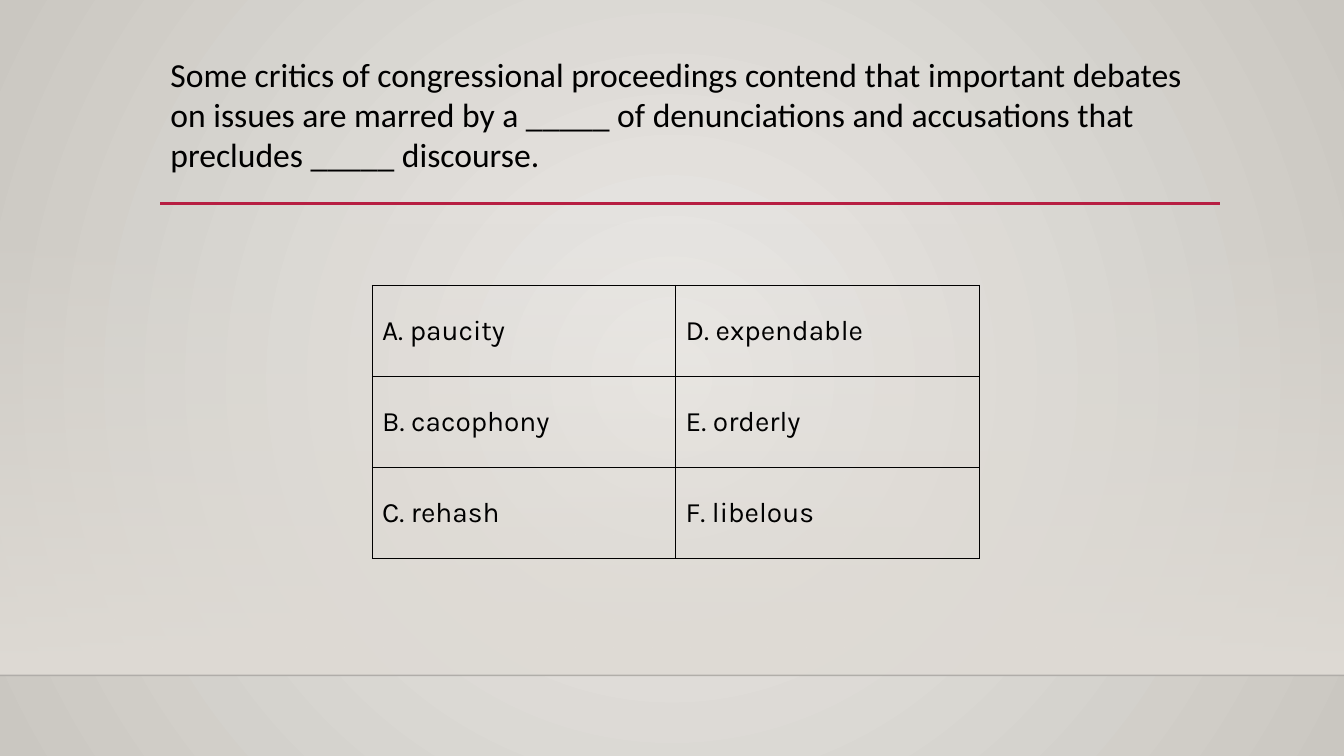
from pptx import Presentation
from pptx.dml.color import RGBColor
from pptx.enum.shapes import MSO_CONNECTOR, MSO_SHAPE
from pptx.enum.text import MSO_ANCHOR, MSO_AUTO_SIZE, PP_ALIGN
from pptx.oxml.ns import qn
from pptx.util import Inches, Pt
from lxml.etree import SubElement

WIDTH, HEIGHT = 13.33, 7.5
FLOOR_TOP = 6.7
BLACK, RED, SAND = "000000", "B71E42", "DFDBD5"
QUESTION = ("Some critics of congressional proceedings contend that important debates "
            "on issues are marred by a _____ of denunciations and accusations that "
            "precludes _____ discourse.")
CHOICES = [("A. paucity", "D. expendable"),
           ("B. cacophony", "E. orderly"),
           ("C. rehash", "F. libelous")]


def rgb(color):
    return RGBColor.from_string(color)


def set_alpha(color_parent, percent):
    SubElement(color_parent.find(qn("a:srgbClr")), qn("a:alpha"), val=str(percent * 1000))


def set_font(p, name, size):
    for r in p.runs:
        r.font.name, r.font.size = name, Pt(size)
        r.font.color.rgb = rgb(BLACK)


def set_stops(fill, *colors):
    fill.gradient()
    for stop, color in zip(fill.gradient_stops, colors):
        stop.color.rgb = rgb(color)


def add_line(slide, x1, x2, y, color, width):
    line = slide.shapes.add_connector(
        MSO_CONNECTOR.STRAIGHT, Inches(x1), Inches(y), Inches(x2), Inches(y))
    line.line.color.rgb = rgb(color)
    line.line.width = Pt(width)
    SubElement(line._element.spPr, qn("a:effectLst"))
    return line


def add_backdrop(slide):
    """Radial background, with a wall that fades in down to the floor line."""
    set_stops(slide.background.fill, "ECEAE7", "CAC7C1")
    grad = slide._element.find(".//" + qn("p:bgPr")).find(qn("a:gradFill"))
    grad.remove(grad.find(qn("a:lin")))
    circle = SubElement(grad, qn("a:path"), path="circle")
    SubElement(circle, qn("a:fillToRect"), {side: "50000" for side in "ltrb"})

    wall_top = 2.21
    wall = slide.shapes.add_shape(MSO_SHAPE.RECTANGLE, 0, Inches(wall_top),
                                  Inches(WIDTH), Inches(FLOOR_TOP - wall_top))
    wall.shadow.inherit = False
    wall.line.fill.background()
    set_stops(wall.fill, SAND, SAND)
    wall.fill.gradient_angle = 270
    set_alpha(wall._element.spPr.find(".//" + qn("a:gs")), 0)

    floor = add_line(slide, 0, WIDTH, FLOOR_TOP, "000001", 1)
    set_alpha(floor._element.spPr.find(".//" + qn("a:solidFill")), 20)


def add_question(slide, x, y, w, h):
    title = slide.shapes.title
    title.left, title.top, title.width, title.height = map(Inches, (x, y, w, h))
    tf = title.text_frame
    tf.text = QUESTION
    tf.word_wrap = True
    tf.auto_size = MSO_AUTO_SIZE.SHAPE_TO_FIT_TEXT
    tf.vertical_anchor = MSO_ANCHOR.TOP
    p = tf.paragraphs[0]
    p.alignment = PP_ALIGN.LEFT
    set_font(p, "Calibri", 24)
    add_line(slide, x, x + w + 0.01, y + h + 0.23, RED, 2.5)


def set_borders(cell, color, width):
    tcPr = cell._tc.get_or_add_tcPr()
    for i, side in enumerate(("a:lnL", "a:lnR", "a:lnT", "a:lnB")):
        ln = tcPr.makeelement(qn(side), {"w": str(Pt(width))})
        SubElement(SubElement(ln, qn("a:solidFill")), qn("a:srgbClr"), val=color)
        tcPr.insert(i, ln)


def add_choices(slide, x, y, w, h):
    table = slide.shapes.add_table(len(CHOICES), len(CHOICES[0]), Inches(x), Inches(y),
                                   Inches(w), Inches(h)).table
    table.first_row = table.horz_banding = False
    for i, row in enumerate(CHOICES):
        for j, choice in enumerate(row):
            cell = table.cell(i, j)
            cell.text = choice
            cell.vertical_anchor = MSO_ANCHOR.MIDDLE
            cell.fill.background()
            set_font(cell.text_frame.paragraphs[0], "Karla", 20)
            set_borders(cell, BLACK, 0.48)


def main():
    prs = Presentation()
    prs.slide_width, prs.slide_height = Inches(WIDTH), Inches(HEIGHT)
    slide = prs.slides.add_slide(prs.slide_layouts[5])
    add_backdrop(slide)
    add_question(slide, 1.59, 0.48, 10.5, 1.31)
    add_choices(slide, 3.69, 2.83, 6.02, 2.71)
    prs.save("out.pptx")


if __name__ == "__main__":
    main()
